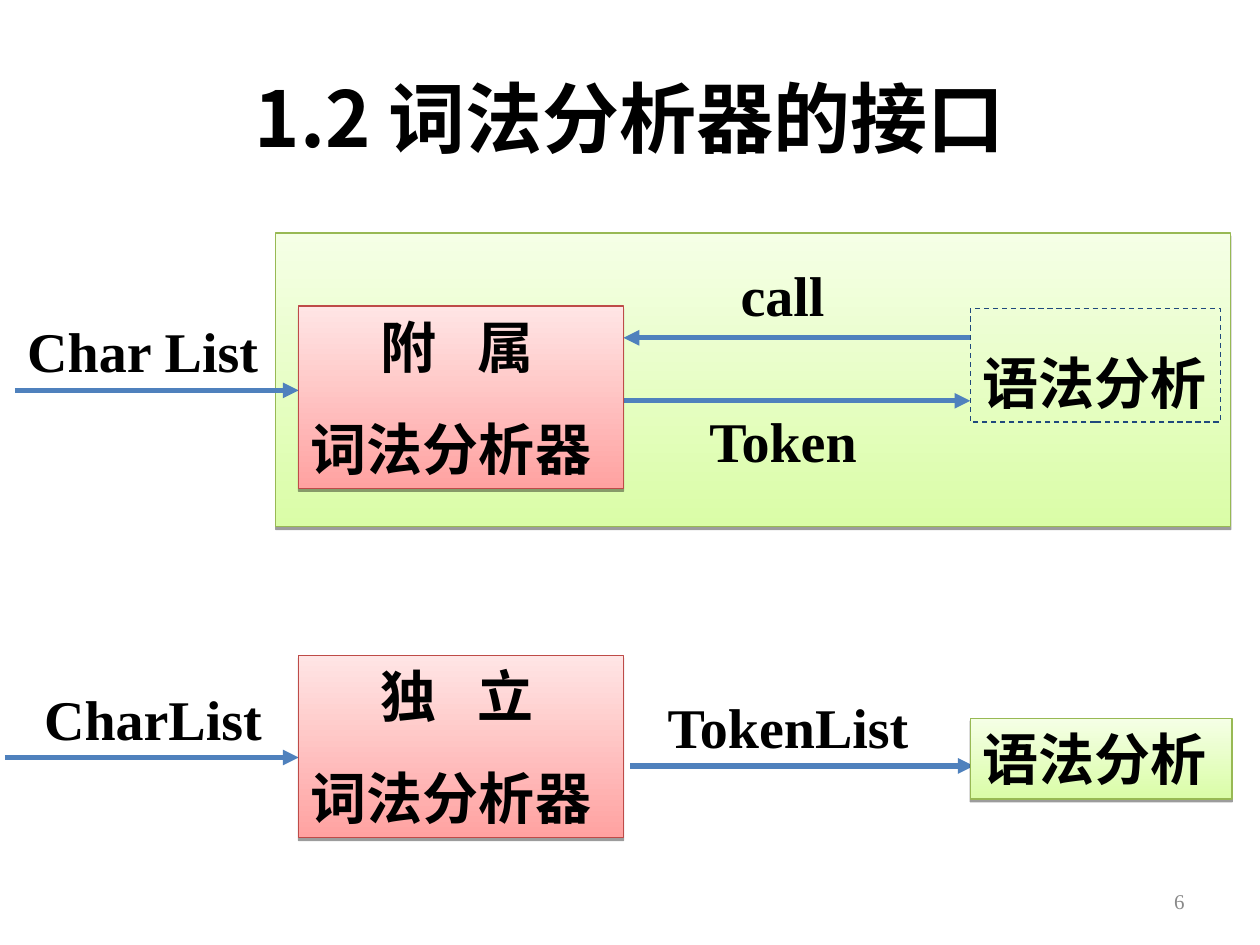
from dataclasses import dataclass
from typing import Optional

from lxml.etree import SubElement
from pptx import Presentation
from pptx.dml.color import RGBColor
from pptx.enum.dml import MSO_LINE
from pptx.enum.shapes import MSO_CONNECTOR, MSO_SHAPE
from pptx.enum.text import MSO_ANCHOR, MSO_AUTO_SIZE, PP_ALIGN
from pptx.oxml.ns import qn
from pptx.util import Cm, Pt

SERIF = "Times New Roman"
CHINESE = "Noto Sans CJK SC"
BLUE = "4F81BD"
BLACK = "000000"
LEXER_LEFT, LEXER_WIDTH, LEXER_HEIGHT = 6.02, 6.55, 3.68
LEXER_RIGHT = LEXER_LEFT + LEXER_WIDTH
PARSER_LEFT = 19.56


@dataclass(frozen=True)
class Palette:
    """Gradient colours from bottom to top, and the outline colour."""
    bottom: str
    top: str
    outline: str


GREEN = Palette("DAFDA7", "F5FFE6", "98B954")
RED = Palette("FFA2A1", "FFE5E5", "BE4B48")


@dataclass(frozen=True)
class Box:
    """A rectangle in centimetres; without a palette it is dashed."""
    left: float
    top: float
    width: float
    height: float
    palette: Optional[Palette] = None
    text: str = ""


@dataclass(frozen=True)
class Arrow:
    """A horizontal arrow in centimetres."""
    start: float
    end: float
    y: float


@dataclass(frozen=True)
class Label:
    """A piece of free text in centimetres."""
    left: float
    top: float
    width: float
    height: float
    text: str
    size: float = 32
    bold: bool = True
    color: str = BLACK
    font: str = SERIF
    align: PP_ALIGN = PP_ALIGN.LEFT
    anchor: MSO_ANCHOR = MSO_ANCHOR.TOP
    grow: bool = True
    line_spacing: float = 1.0


def rgb(color: str) -> RGBColor:
    """Turn a hex string into a colour."""
    return RGBColor.from_string(color)


def write(shape, text: str, size: float = 32, bold: bool = True, color: str = BLACK,
          font: str = SERIF, align: PP_ALIGN = PP_ALIGN.LEFT,
          anchor: MSO_ANCHOR = MSO_ANCHOR.TOP, grow: bool = True,
          line_spacing: float = 1.0) -> None:
    """Fill a shape with text and format its paragraphs."""
    frame = shape.text_frame
    frame.text = text
    frame.word_wrap = True
    frame.vertical_anchor = anchor
    frame.auto_size = MSO_AUTO_SIZE.SHAPE_TO_FIT_TEXT if grow else MSO_AUTO_SIZE.NONE
    for paragraph in frame.paragraphs:
        paragraph.alignment = align
        paragraph.line_spacing = line_spacing
        if size == 32:
            paragraph.space_before = Pt(20)
        for run in paragraph.runs:
            run.font.size = Pt(size)
            run.font.bold = bold
            run.font.name = font
            run.font.color.rgb = rgb(color)
            SubElement(run.font._element, qn("a:ea"), typeface=CHINESE)


def add_shadow(shape) -> None:
    """Give a shape a hard shadow just below it."""
    effects = SubElement(shape._element.spPr, qn("a:effectLst"))
    shadow = SubElement(effects, qn("a:outerShdw"), blurRad="0", dist=str(Pt(1.6)),
                        dir="5400000", rotWithShape="0")
    color = SubElement(shadow, qn("a:srgbClr"), val=BLACK)
    SubElement(color, qn("a:alpha"), val="38000")


def draw_box(slide, box: Box):
    """Draw a gradient box, or a dashed one, with its text."""
    shape = slide.shapes.add_shape(MSO_SHAPE.RECTANGLE, Cm(box.left), Cm(box.top),
                                   Cm(box.width), Cm(box.height))
    shape.line.width = Pt(0.74)
    if box.palette:
        shape.fill.gradient()
        shape.fill.gradient_angle = 90
        colors = (box.palette.bottom, box.palette.top)
        for stop, color in zip(shape.fill.gradient_stops, colors):
            stop.color.rgb = rgb(color)
        shape.line.color.rgb = rgb(box.palette.outline)
        add_shadow(shape)
    else:
        shape.shadow.inherit = False
        shape.fill.background()
        shape.line.color.rgb = rgb("1F497D")
        shape.line.dash_style = MSO_LINE.DASH
    if box.text:
        dashed = box.palette is None
        write(shape, box.text, line_spacing=1.5 if dashed else 1.0,
              anchor=MSO_ANCHOR.MIDDLE if dashed else MSO_ANCHOR.TOP)
    return shape


def draw_lexer(slide, top: float, kind: str) -> None:
    """Draw a lexer box whose first line is indented and spaced out."""
    shape = draw_box(slide, Box(LEXER_LEFT, top, LEXER_WIDTH, LEXER_HEIGHT, RED,
                                f"{kind}\n词法分析器"))
    heading = shape.text_frame.paragraphs[0]
    heading._p.get_or_add_pPr().set("marL", str(Cm(1.41)))
    heading.runs[0].font._element.set("spc", "800")


def draw_arrow(slide, arrow: Arrow) -> None:
    """Draw a blue arrow with a triangular head."""
    connector = slide.shapes.add_connector(MSO_CONNECTOR.STRAIGHT, Cm(arrow.start),
                                           Cm(arrow.y), Cm(arrow.end), Cm(arrow.y))
    connector.line.color.rgb = rgb(BLUE)
    connector.line.width = Pt(3)
    SubElement(connector.line._get_or_add_ln(), qn("a:tailEnd"), type="triangle")
    SubElement(connector._element.spPr, qn("a:effectLst"))


def draw_label(slide, label: Label) -> None:
    """Draw a text box."""
    shape = slide.shapes.add_textbox(Cm(label.left), Cm(label.top),
                                     Cm(label.width), Cm(label.height))
    write(shape, label.text, label.size, label.bold, label.color, label.font,
          label.align, label.anchor, label.grow, label.line_spacing)


ARROWS = [
    Arrow(0.3, LEXER_LEFT, 7.87),
    Arrow(PARSER_LEFT, LEXER_RIGHT, 6.81),
    Arrow(LEXER_RIGHT, PARSER_LEFT, 8.08),
    Arrow(0.1, LEXER_LEFT, 15.27),
    Arrow(12.7, 19.63, 15.44),
]
LEXERS = [(6.17, "附 属"), (13.21, "独 立")]
PARSERS = [
    Box(PARSER_LEFT, 6.22, 5.05, 2.29, text="语法分析"),
    Box(PARSER_LEFT, 14.48, 5.28, 1.63, GREEN, "语法分析"),
]
LABELS = [
    Label(1.27, 0.76, 22.86, 3.18, "1.2 词法分析器的接口", size=44, font=CHINESE,
          align=PP_ALIGN.CENTER, anchor=MSO_ANCHOR.MIDDLE, grow=False),
    Label(0.3, 6.4, 5.28, 1.47, "Char List", grow=False, line_spacing=0.9),
    Label(14.68, 5.13, 3.38, 1.63, "call"),
    Label(14.05, 8.08, 4.01, 1.63, "Token"),
    Label(0.64, 13.67, 5.51, 1.63, "CharList"),
    Label(13.21, 13.84, 5.92, 1.63, "TokenList"),
    Label(18.21, 17.65, 5.92, 1.02, "6", size=12, bold=False, color="898989",
          align=PP_ALIGN.RIGHT, anchor=MSO_ANCHOR.MIDDLE, grow=False),
]

presentation = Presentation()
presentation.slide_width, presentation.slide_height = Cm(25.4), Cm(19.05)
slide = presentation.slides.add_slide(presentation.slide_layouts[6])

draw_box(slide, Box(5.56, 4.7, 19.25, 5.92, GREEN))
for arrow in ARROWS:
    draw_arrow(slide, arrow)
for top, kind in LEXERS:
    draw_lexer(slide, top, kind)
for parser in PARSERS:
    draw_box(slide, parser)
for label in LABELS:
    draw_label(slide, label)

presentation.save("out.pptx")
